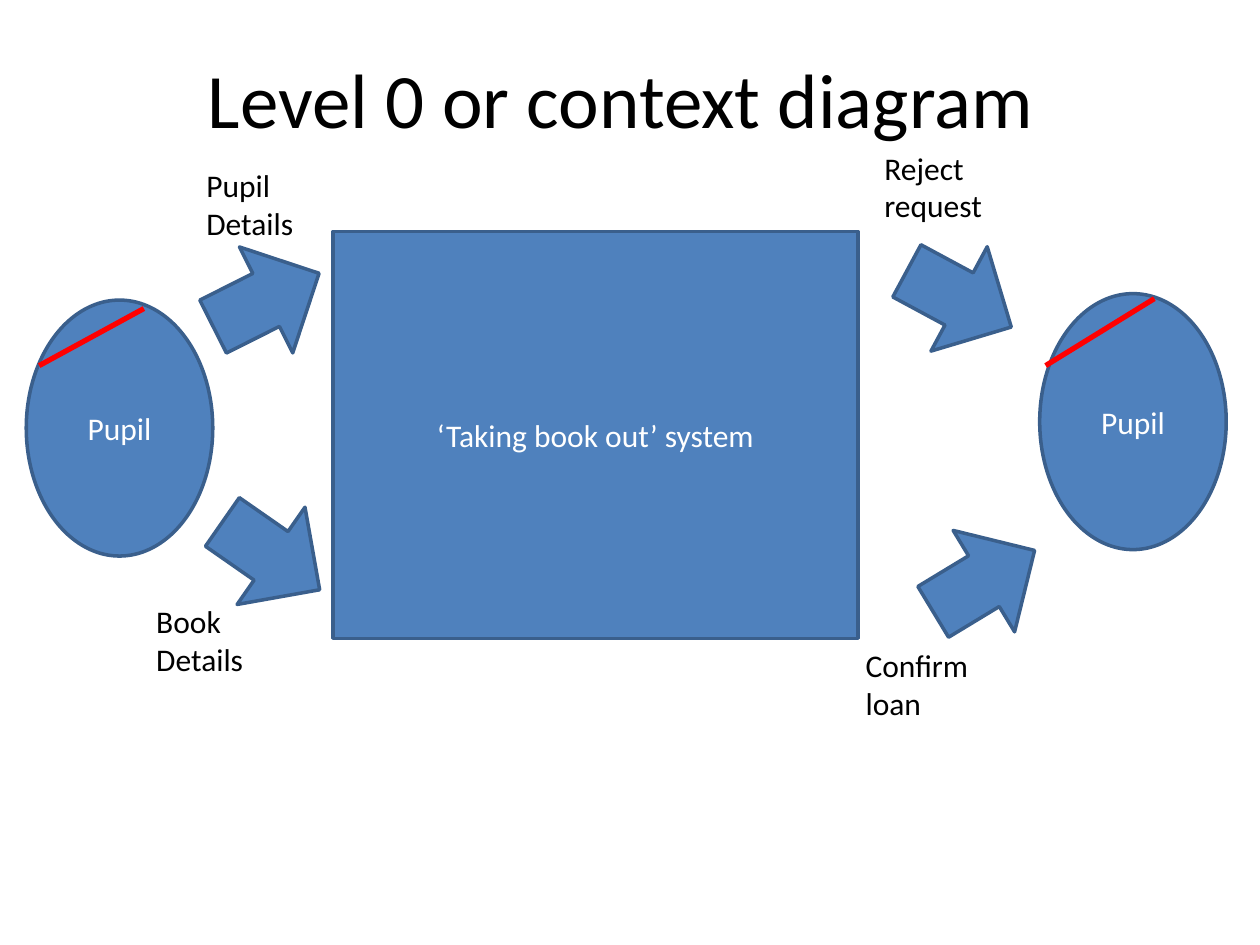
"""Build a context diagram slide for a library loan system."""
from pptx import Presentation
from pptx.dml.color import RGBColor
from pptx.enum.shapes import MSO_CONNECTOR as Link, MSO_SHAPE as Kind
from pptx.enum.text import MSO_ANCHOR as Anchor, PP_ALIGN as Align
from pptx.oxml.ns import qn
from pptx.util import Cm, Pt

BLUE = RGBColor(0x4F, 0x81, 0xBD)
EDGE = RGBColor(0x3A, 0x5F, 0x8C)
RED = RGBColor(0xFF, 0, 0)
WHITE = RGBColor(0xFF, 0xFF, 0xFF)
BLACK = RGBColor(0, 0, 0)
FONT = "Calibri"

TITLE = "Level 0 or context diagram"
SYSTEM = ("‘Taking book out’ system", (6.71, 4.67, 10.59, 8.2))
PUPIL = "Pupil"
PUPILS = [
    ((20.96, 5.92), (21.08, 7.37, 23.27, 6.02)),
    ((0.53, 6.05), (0.79, 7.37, 2.9, 6.22)),
]
FLOWS = [
    ("Pupil Details", (3.91, 3.23), (4.17, 4.85), 243.3),
    ("Book Details", (2.9, 12.01), (4.27, 10.01), 304.9),
    ("Confirm loan", (17.2, 12.9), (18.64, 10.52), 238.8),
    ("Reject request", (17.58, 2.87), (18.14, 4.83), 298.3),
]
OVAL = (3.76, 5.16)
ARROW = (2.39, 2.39)
LABEL = (2.79, 1.8)


def cms(box):
    return [Cm(v) for v in box]


def write(frame, text, size, color, align, anchor):
    frame.word_wrap = True
    frame.vertical_anchor = anchor
    frame.text = text
    para = frame.paragraphs[0]
    para.alignment = align
    para.font.name = FONT
    para.font.size = Pt(size)
    para.font.color.rgb = color


def draw(slide, kind, box, text="", turn=0):
    shape = slide.shapes.add_shape(kind, *cms(box))
    shape.shadow.inherit = False
    shape.fill.solid()
    shape.fill.fore_color.rgb = BLUE
    shape.line.color.rgb = EDGE
    shape.line.width = Pt(2)
    shape.rotation = turn
    if text:
        write(shape.text_frame, text, 18, WHITE, Align.CENTER, Anchor.MIDDLE)


def strike(slide, ends):
    line = slide.shapes.add_connector(Link.STRAIGHT, *cms(ends))
    line.line.color.rgb = RED
    line.line.width = Pt(3)
    props = line._element.spPr
    props.append(props.makeelement(qn("a:effectLst"), {}))


def main():
    deck = Presentation()
    deck.slide_width, deck.slide_height = Cm(25.4), Cm(19.05)
    slide = deck.slides.add_slide(deck.slide_layouts[5])

    title = slide.shapes.title
    title.left, title.top, title.width, title.height = cms((3.51, 0.91, 18.01, 2.13))
    write(title.text_frame, TITLE, 44, BLACK, Align.CENTER, Anchor.TOP)

    name, box = SYSTEM
    draw(slide, Kind.RECTANGLE, box, name)
    for spot, ends in PUPILS:
        draw(slide, Kind.OVAL, spot + OVAL, PUPIL)
        strike(slide, ends)
    for text, spot, tip, turn in FLOWS:
        draw(slide, Kind.DOWN_ARROW, tip + ARROW, turn=turn)
        label = slide.shapes.add_textbox(*cms(spot + LABEL))
        write(label.text_frame, text, 18, BLACK, Align.LEFT, Anchor.TOP)

    deck.save("out.pptx")


if __name__ == "__main__":
    main()
